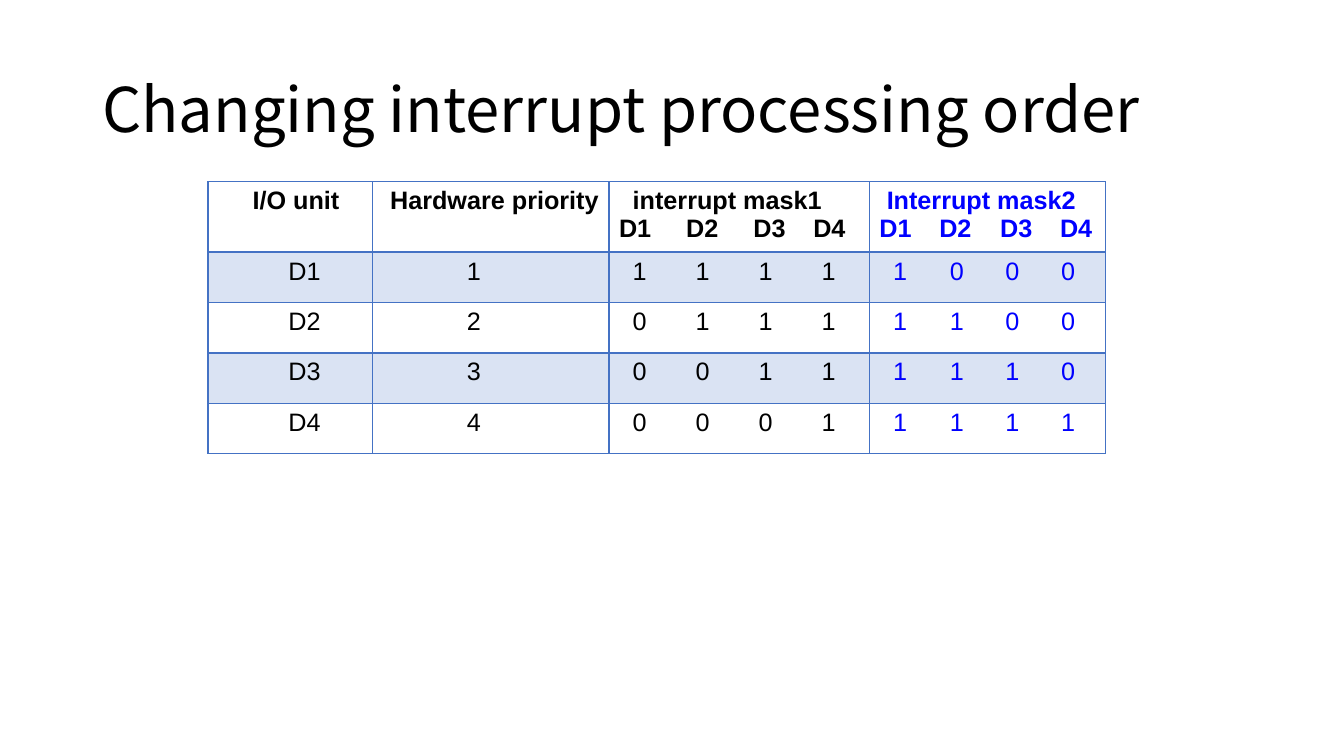
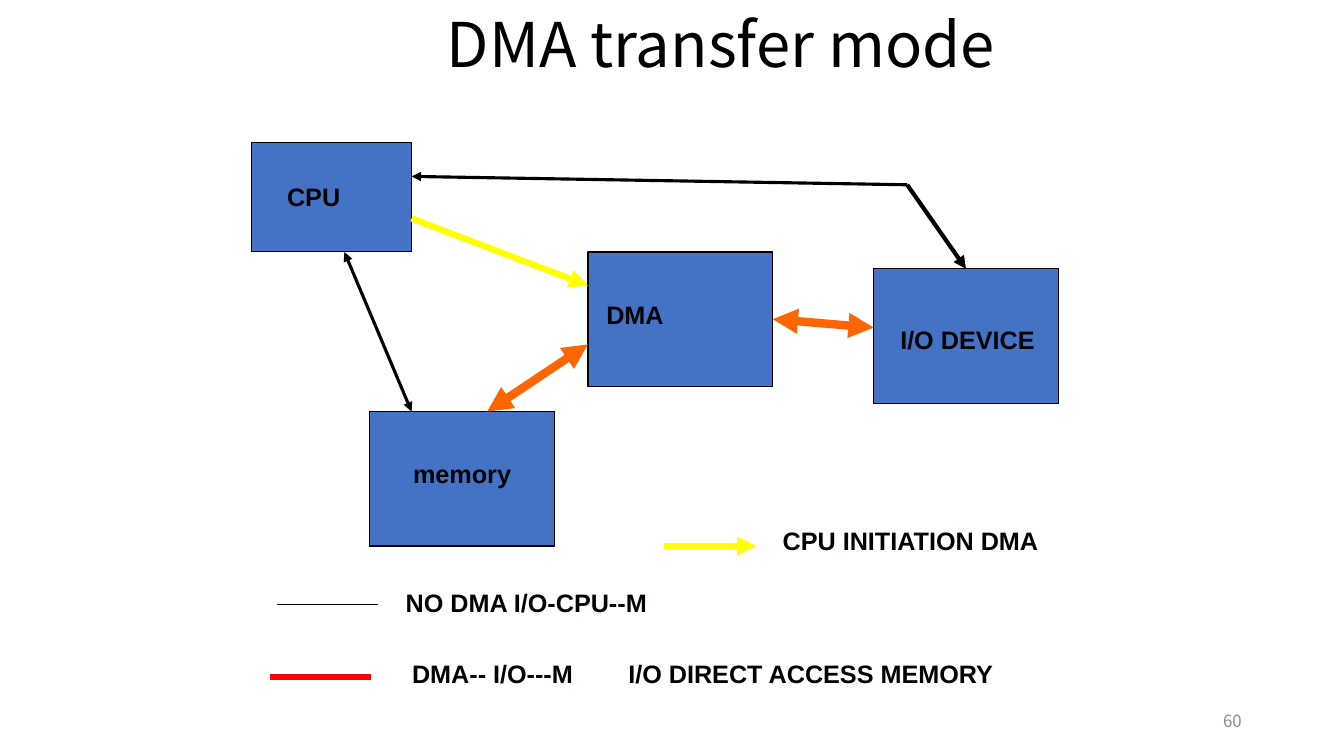
from lxml.etree import SubElement
from pptx import Presentation
from pptx.dml.color import RGBColor
from pptx.enum.shapes import MSO_CONNECTOR, MSO_SHAPE
from pptx.enum.text import MSO_ANCHOR, PP_ALIGN
from pptx.oxml.ns import qn
from pptx.util import Pt

PX = 9525  # EMU per px, 96 px to the inch
rgb = RGBColor.from_string

BLACK, LABEL, GREY = "000000", "000404", "8C8C8C"
BLUE, BAND, MASK_BLUE = "4472C4", "DAE3F3", "0000FF"
ORANGE, YELLOW, RED = "FF6600", "FFFF00", "FF0000"
BODY_STYLE = dict(font="Arial", size=18)
LABEL_STYLE = dict(**BODY_STYLE, color=LABEL, bold=True)
TITLE_STYLE = dict(font="Noto Sans CJK SC", size=44, color=BLACK)
NUMBER_STYLE = dict(font="Noto Sans CJK SC", size=12, color=GREY)


def write(paragraph, text, font, size, color, bold=False, tabs=()):
    """Fill a paragraph with one text style; tabs are stops in px."""
    if tabs:
        stops = SubElement(paragraph._p.get_or_add_pPr(), qn("a:tabLst"))
        for stop in tabs:
            SubElement(stops, qn("a:tab"), pos=str(stop * PX), algn="l")
    paragraph.text = text
    for run in paragraph.runs:
        run.font.name = font
        run.font.size = Pt(size)
        run.font.bold = bold
        run.font.color.rgb = rgb(color)


def add_text(slide, box, text, style, anchor=MSO_ANCHOR.TOP, tabs=()):
    """Add a wrapped text box of one paragraph and return the paragraph."""
    frame = slide.shapes.add_textbox(*(n * PX for n in box)).text_frame
    frame.word_wrap = True
    frame.vertical_anchor = anchor
    write(frame.paragraphs[0], text, tabs=tabs, **style)
    return frame.paragraphs[0]


prs = Presentation()
prs.slide_width, prs.slide_height = 1280 * PX, 720 * PX

# Both slides with their titles
titles = [
    ("Changing interrupt processing order", (88, 38, 1104, 139)),
    ("DMA transfer mode", (416, 3, 608, 84)),
]
slides = []
for title, box in titles:
    slide = prs.slides.add_slide(prs.slide_layouts[6])
    add_text(slide, box, title, TITLE_STYLE, MSO_ANCHOR.MIDDLE).line_spacing = 0.9
    slides.append(slide)
priority_slide, dma_slide = slides

# Priority table: each line of a cell is (text, tab stops)
units = ["D1", "D2", "D3", "D4"]
unit_heads = "\t".join(units)
priority_rows = [[
    [("\tI/O unit", [33])],
    [("\tHardware priority", [7])],
    [("\tinterrupt mask1", [13]), (unit_heads, [64, 128, 185])],
    [("\tInterrupt mask2", [7]), (unit_heads, [57, 115, 172])],
]]
for i, unit in enumerate(units):
    mask1 = "".join(f"\t{int(j >= i)}" for j in range(4))
    mask2 = "".join(f"\t{int(j <= i)}" for j in range(4))
    priority_rows.append([
        [(f"\t{unit}", [67])],
        [(f"\t{i + 1}", [80])],
        [(mask1, [13, 73, 133, 193])],
        [(mask2, [13, 67, 120, 173])],
    ])

column_widths = [157, 225, 248, 225]
row_heights = [62] + [48] * 4
priorities = priority_slide.shapes.add_table(
    len(row_heights), len(column_widths), 198 * PX, 173 * PX,
    sum(column_widths) * PX, sum(row_heights) * PX).table
priorities.first_row = priorities.horz_banding = False
for column, width in zip(priorities.columns, column_widths):
    column.width = width * PX
for row, height in zip(priorities.rows, row_heights):
    row.height = height * PX

for r, row in enumerate(priority_rows):
    for c, lines in enumerate(row):
        cell = priorities.cell(r, c)
        # Borders: the rule under the header is twice as wide
        cell_props = cell._tc.get_or_add_tcPr()
        for side in ("L", "R", "T", "B"):
            thick = (r, side) in ((0, "B"), (1, "T"))
            border = SubElement(cell_props, qn(f"a:ln{side}"),
                                w=str(Pt(2 if thick else 1)))
            border_fill = SubElement(border, qn("a:solidFill"))
            SubElement(border_fill, qn("a:srgbClr"), val=BLUE)
        if r % 2:
            cell.fill.solid()
            cell.fill.fore_color.rgb = rgb(BAND)
        else:
            cell.fill.background()
        frame = cell.text_frame
        for n, (text, tabs) in enumerate(lines):
            paragraph = frame.add_paragraph() if n else frame.paragraphs[0]
            write(paragraph, text, color=MASK_BLUE if c == 3 else BLACK,
                  bold=r == 0, tabs=tabs, **BODY_STYLE)

# Page number
add_text(dma_slide, (904, 667, 288, 38), "60", NUMBER_STYLE,
         MSO_ANCHOR.MIDDLE).alignment = PP_ALIGN.RIGHT

# Units of the DMA diagram: name, block, label left, top and width
diagram_units = [
    ("CPU", (240, 136, 152, 104), (264, 168, 200)),
    ("memory", (352, 392, 176, 128), (384, 432, 136)),
    ("I/O DEVICE", (832, 256, 176, 128), (848, 304, 152)),
    ("DMA", (560, 240, 176, 128), (568, 280, 136)),
]
for name, box, label in diagram_units:
    block = dma_slide.shapes.add_shape(MSO_SHAPE.RECTANGLE, *(n * PX for n in box))
    block.shadow.inherit = False
    block.fill.solid()
    block.fill.fore_color.rgb = rgb(BLUE)
    block.line.color.rgb = rgb(BLACK)
    block.line.width = Pt(0.75)
    add_text(dma_slide, (*label, 38), name, LABEL_STYLE)

# Transfers and legend keys: ends, colour, width, arrowheads
transfers = [
    ((736, 304, 832, 312), ORANGE, 6, ("headEnd", "tailEnd")),
    ((464, 392, 560, 328), ORANGE, 6, ("headEnd", "tailEnd")),
    ((392, 168, 864, 176), BLACK, 2.25, ("headEnd",)),
    ((864, 176, 920, 256), BLACK, 3, ("tailEnd",)),
    ((328, 240, 392, 392), BLACK, 2.25, ("headEnd", "tailEnd")),
    ((392, 208, 560, 272), YELLOW, 4.5, ("tailEnd",)),
    ((632, 520, 720, 520), YELLOW, 4.5, ("tailEnd",)),
    ((264, 576, 360, 576), BLACK, 0.75, ()),
    ((257, 645, 353, 645), RED, 4.5, ()),
]
for ends, color, width, arrowheads in transfers:
    transfer = dma_slide.shapes.add_connector(
        MSO_CONNECTOR.STRAIGHT, *(n * PX for n in ends))
    transfer.line.color.rgb = rgb(color)
    transfer.line.width = Pt(width)
    line_props = transfer.element.spPr.find(qn("a:ln"))
    for end in arrowheads:
        SubElement(line_props, qn(f"a:{end}"), type="triangle")
    SubElement(transfer.element.spPr, qn("a:effectLst"))

# Legend wording
legend = [
    ("CPU INITIATION DMA", (736, 496, 328, 38), ()),
    ("NO DMA I/O-CPU--M", (377, 555, 280, 38), ()),
    ("DMA-- I/O---M\tI/O DIRECT ACCESS MEMORY", (383, 622, 737, 38), (206,)),
]
for text, box, tabs in legend:
    add_text(dma_slide, box, text, LABEL_STYLE, tabs=tabs)

prs.save("out.pptx")
